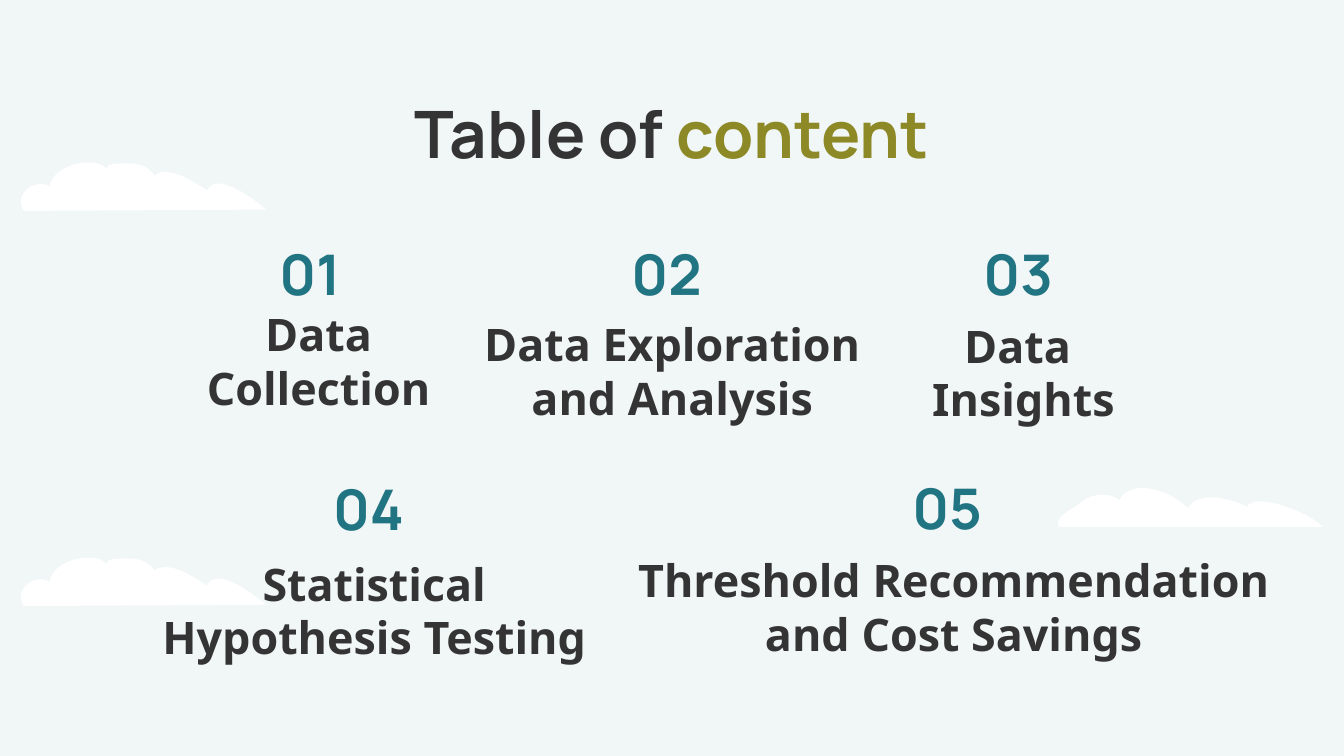
from pptx import Presentation
from pptx.dml.color import RGBColor
from pptx.enum.text import MSO_ANCHOR, MSO_AUTO_SIZE, PP_ALIGN
from pptx.oxml.ns import qn
from pptx.util import Pt

DARK = RGBColor(0x34, 0x34, 0x34)
OLIVE = RGBColor(0x8C, 0x89, 0x26)
TEAL = RGBColor(0x21, 0x74, 0x82)
PALE = RGBColor(0xF1, 0xF6, 0xF7)
WHITE = RGBColor(0xFF, 0xFF, 0xFF)


def place(box, left, top, width, height, anchor):
    box.left, box.top, box.width, box.height = Pt(left), Pt(top), Pt(width), Pt(height)
    frame = box.text_frame
    frame.word_wrap = True
    frame.auto_size = MSO_AUTO_SIZE.NONE
    frame.vertical_anchor = anchor
    frame.margin_left = frame.margin_right = Pt(7.2)
    frame.margin_top = frame.margin_bottom = Pt(7.2)
    return frame


def write(para, text, face, size, color, align):
    para.alignment = align
    run = para.add_run()
    run.text = text
    run.font.name = face
    run.font.size = Pt(size)
    run.font.bold = True
    run.font.color.rgb = color


deck = Presentation()
deck.slide_width, deck.slide_height = Pt(720), Pt(405)
slide = deck.slides.add_slide(deck.slide_layouts[5])
slide.background.fill.solid()
slide.background.fill.fore_color.rgb = PALE
shapes = slide.shapes

frame = place(shapes.title, 56.5, 42.5, 607, 45.4, MSO_ANCHOR.TOP)
for text, color in [("Table of ", DARK), ("content", OLIVE)]:
    write(frame.paragraphs[0], text, "Manrope", 35, color, PP_ALIGN.CENTER)

topics = [
    ("01", 142.6, 128.9, ["Data Collection"], 79.9, 164.2, 181.4),
    ("02", 331.2, 128.9, ["Data Exploration and Analysis"], 245.2, 169.9, 229.7),
    ("03", 519.8, 128.9, ["Data ", "Insights"], 437, 170.6, 222.5),
    ("04", 171.4, 254.5, ["Statistical Hypothesis Testing"], 68.4, 298.1, 264.2),
    ("05", 481.7, 254.2, ["Threshold Recommendation and Cost Savings"], 332.6, 296.2, 356.4),
]
for number, x, y, lines, left, top, width in topics:
    box = shapes.add_textbox(0, 0, 0, 0)
    frame = place(box, x, y, 57.6, 35.3, MSO_ANCHOR.MIDDLE)
    write(frame.paragraphs[0], number, "Manrope", 30, TEAL, PP_ALIGN.LEFT)
    box = shapes.add_textbox(0, 0, 0, 0)
    frame = place(box, left, top, width, 64.8, MSO_ANCHOR.BOTTOM)
    for i, line in enumerate(lines):
        para = frame.add_paragraph() if i else frame.paragraphs[0]
        write(para, line, "Noto Sans", 24, DARK, PP_ALIGN.CENTER)

puffs = [
    (40, 0), (38, 0, 36, 0, 33, 0.7), (26.6, 2.2, 19.4, 6.5, 18.7, 13),
    (17.3, 11.9, 15.1, 11.5, 13.7, 11.5), (6.5, 11.5, 0, 19.4, 5, 25.9),
    (134.6, 25.2), (129.6, 20.9, 117.4, 11.2, 108.7, 11.2),
    (106.6, 11.2, 104.4, 12.2, 103, 14.8), (95.8, 10.4, 87.8, 5, 80.6, 5),
    (78.5, 5, 77, 5.4, 74.9, 6.8), (71.3, 1.8, 66.2, 0.4, 60.5, 0.4),
    (60.5, 0.4, 59.8, 0.4, 59, 0.4), (54, 0.7, 50.4, 0, 49, 3.2),
    (46.8, 0.7, 43.9, 0, 40, 0),
]
swells = [
    (48.2, 0), (43.2, 0, 37.4, 2.2, 36, 6.5), (33.1, 4.3, 29.5, 3.6, 26.6, 3.6),
    (21.6, 3.6, 17.3, 5.8, 13, 9.4), (10.1, 11.5, 0, 16.6, 3.6, 20.9),
    (144.7, 20.9), (139.7, 15.1, 121.7, 7.2, 111.6, 7.2),
    (108, 7.2, 105.1, 7.9, 104.4, 10.1), (98.6, 7.2, 91.4, 5, 85, 5),
    (79.2, 5, 74.2, 7.2, 72.7, 10.8), (68.4, 7.2, 62.6, 2.9, 56.2, 1.4),
    (54, 0.7, 51.1, 0, 48.2, 0),
]
for left, top, rows in [(7.9, 298.8, puffs), (563.8, 261.4, swells), (7.9, 87.1, puffs)]:
    dots = [(Pt(left + x), Pt(top + y))
            for row in rows for x, y in zip(row[::2], row[1::2])]
    pen = shapes.build_freeform(*dots[0])
    pen.add_line_segments(dots[1:], close=True)
    cloud = pen.convert_to_shape()
    cloud.shadow.inherit = False
    cloud.fill.solid()
    cloud.fill.fore_color.rgb = WHITE
    cloud.line.fill.background()
    legs = iter(list(cloud._element.iter(qn("a:lnTo"))))
    for row in rows[1:]:
        leg = next(legs)
        if len(row) == 6:
            curve = leg.makeelement(qn("a:cubicBezTo"), {})
            leg.addprevious(curve)
            for part in (leg, next(legs), next(legs)):
                curve.append(part[0])
                part.getparent().remove(part)

deck.save("out.pptx")
